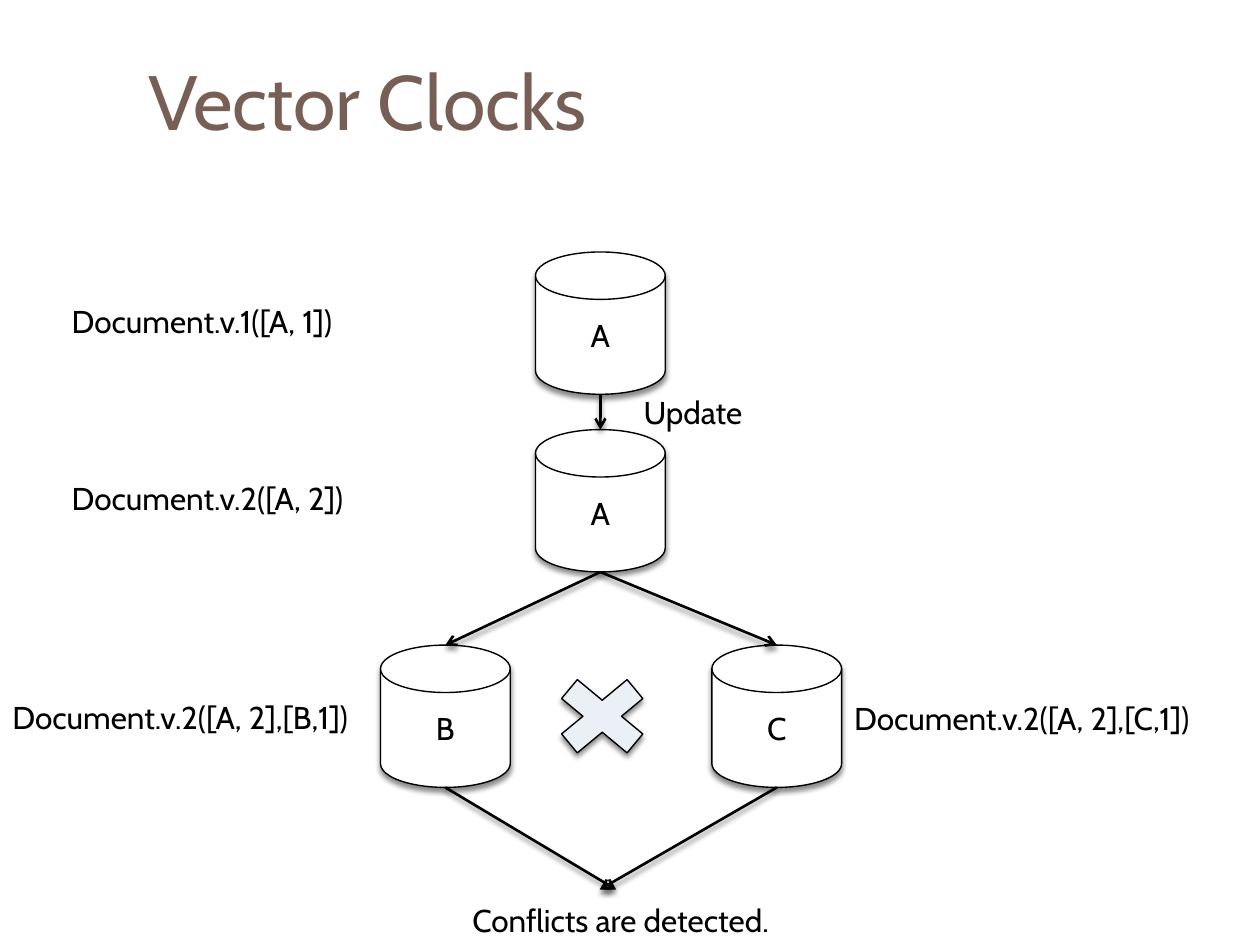
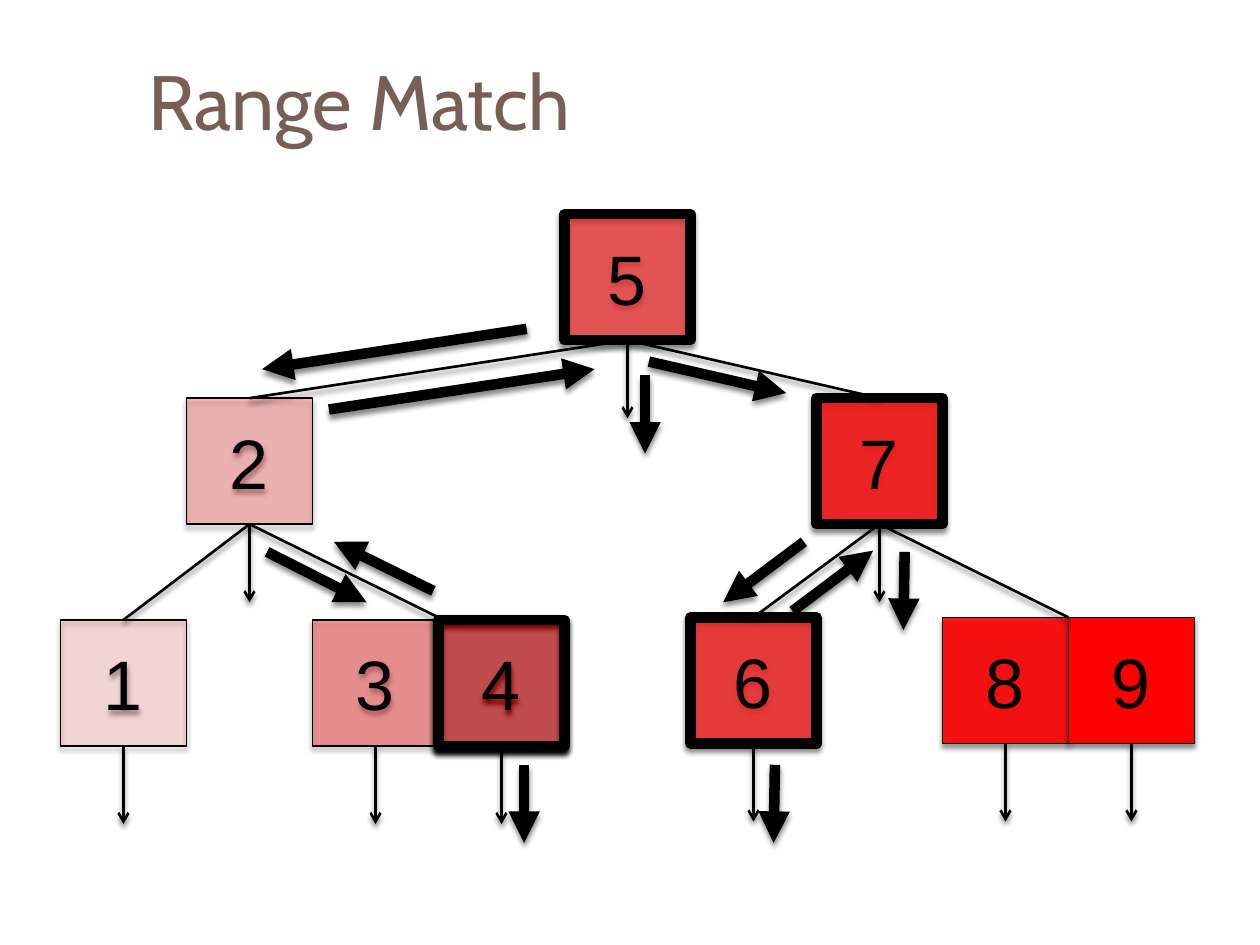
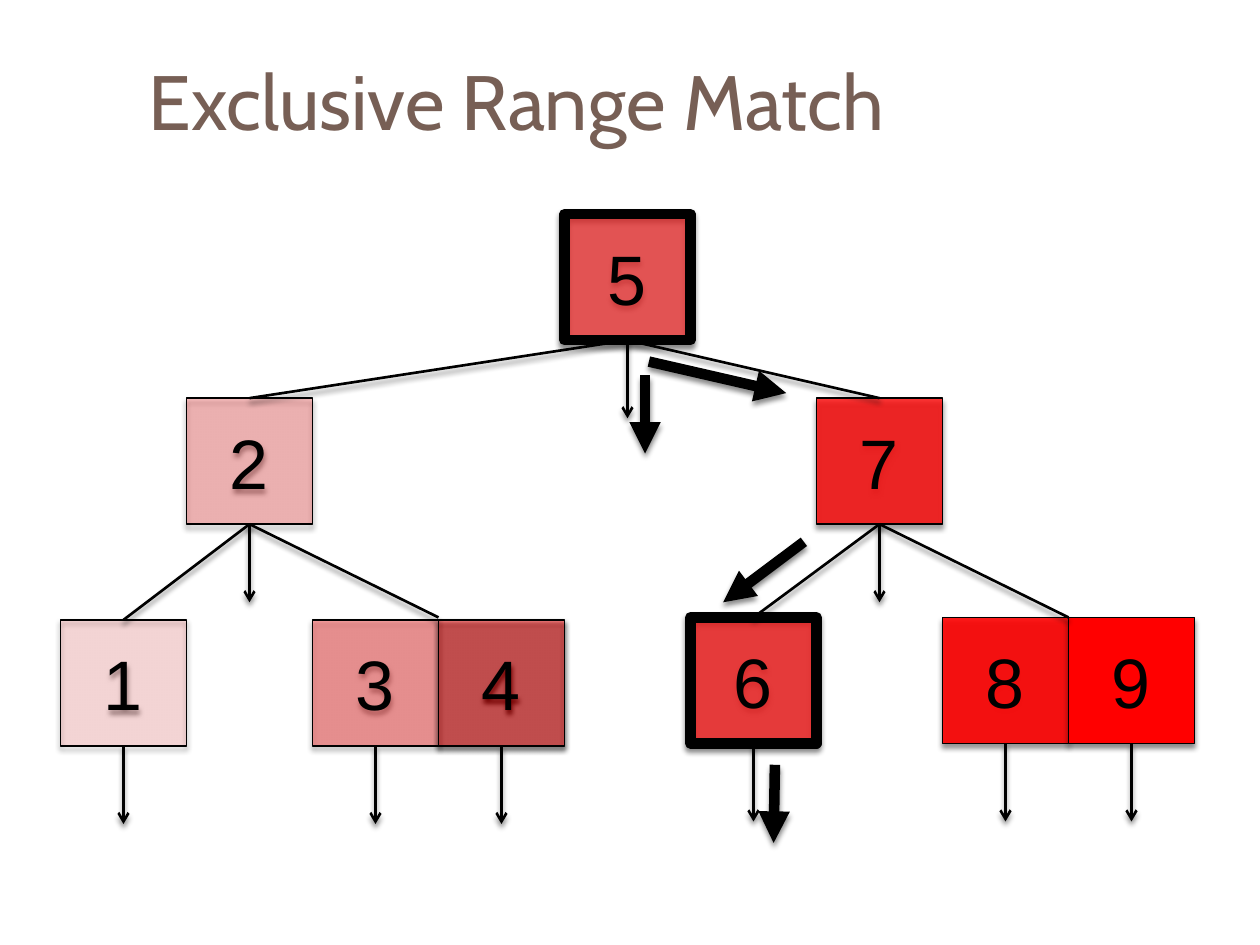
from dataclasses import dataclass
from typing import NamedTuple

from pptx import Presentation
from pptx.dml.color import RGBColor
from pptx.enum.shapes import MSO_CONNECTOR, MSO_SHAPE
from pptx.enum.text import MSO_ANCHOR, MSO_AUTO_SIZE, PP_ALIGN
from pptx.oxml import parse_xml
from pptx.oxml.ns import nsdecls, qn
from pptx.util import Inches, Pt


@dataclass(frozen=True)
class Theme:
    title: RGBColor = RGBColor(0x77, 0x5F, 0x55)
    ink: RGBColor = RGBColor(0, 0, 0)
    disk: RGBColor = RGBColor(255, 255, 255)
    cross: RGBColor = RGBColor(0xEA, 0xF0, 0xF6)
    node: RGBColor = RGBColor(255, 0, 0)
    font: str = "Cabin"
    node_font: str = "Arial"
    title_size: int = 44
    body_size: int = 18
    node_size: int = 40
    outline: float = 0.79
    line: float = 1.5
    bold_line: float = 6


class Box(NamedTuple):
    left: float
    top: float
    width: float
    height: float

    def place(self, x, y):
        return Inches(self.left + x), Inches(self.top + y)


THEME = Theme()
TITLE_BOX = Box(1.08, 0.25, 8.92, 1.08)
CLOCK_BOX = Box(0, 2, 10, 5.5)
TREE_BOX = Box(0.48, 1.7, 9, 4.83)
TOP, BOTTOM = 0, 2

DISK_WIDTH, DISK_HEIGHT = 1.03, 1.13
DISKS = [("A", 4.25, 0), ("A", 4.25, 1.41), ("B", 3.02, 3.12), ("C", 5.65, 3.12)]
CLOCK_LABELS = [
    ("Document.v.1([A, 1])", 0.47, 0.35, 2.5),
    ("Document.v.2([A, 2])", 0.47, 1.75, 2.5),
    ("Update", 5.01, 1.07, 1.02),
    ("Document.v.2([A, 2],[B,1])", 0, 3.49, 3.09),
    ("Document.v.2([A, 2],[C,1])", 6.68, 3.5, 3.09),
    ("Conflicts are detected.", 3.65, 5.1, 2.71),
]

NODE_TOPS = [3.22, 1.46, 3.22, 3.22, 0, 3.2, 1.46, 3.2, 3.2]
POINTER_LENGTH = 0.62
TREE_EDGES = [(2, 1), (5, 2), (5, 7), (7, 6)]
SHARED_CHILD_EDGES = [(2, 3), (7, 8)]
FORWARD_HOPS = [
    ((4.67, 1.17), (5.76, 1.42)),
    ((4.64, 1.28), (4.64, 1.9)),
    ((5.9, 2.6), (5.26, 3.08)),
    ((5.67, 4.37), (5.66, 4.99)),
]
FULL_HOPS = FORWARD_HOPS + [
    ((3.7, 0.91), (1.6, 1.23)),
    ((1.64, 2.68), (2.43, 3.08)),
    ((2.96, 2.99), (2.17, 2.6)),
    ((3.68, 4.37), (3.68, 4.99)),
    ((2.13, 1.55), (4.24, 1.23)),
    ((5.81, 3.15), (6.45, 2.67)),
    ((6.7, 2.68), (6.69, 3.3)),
]


def add_shadow(shape):
    shape.element.spPr.append(parse_xml(
        f'<a:effectLst {nsdecls("a")}>'
        '<a:outerShdw blurRad="38100" dist="30000" dir="5400000" rotWithShape="0">'
        '<a:srgbClr val="000000"><a:alpha val="45000"/></a:srgbClr>'
        '</a:outerShdw></a:effectLst>'))


def set_text(shape, text, size, color=THEME.ink, font=THEME.font, align=PP_ALIGN.LEFT):
    paragraph = shape.text_frame.paragraphs[0]
    paragraph.text = text
    paragraph.alignment = align
    paragraph.font.size = Pt(size)
    paragraph.font.name = font
    paragraph.font.color.rgb = color


def add_solid(slide, kind, position, width, height, fill, outline=THEME.outline):
    shape = slide.shapes.add_shape(kind, *position, Inches(width), Inches(height))
    shape.fill.solid()
    shape.fill.fore_color.rgb = fill
    shape.line.color.rgb = THEME.ink
    shape.line.width = Pt(outline)
    add_shadow(shape)
    shape.text_frame.vertical_anchor = MSO_ANCHOR.MIDDLE
    return shape


def add_line(slide, start, end, width=THEME.line, arrowhead=None):
    connector = slide.shapes.add_connector(MSO_CONNECTOR.STRAIGHT, *start, *end)
    connector.line.color.rgb = THEME.ink
    connector.line.width = Pt(width)
    if arrowhead:
        outline = connector.element.spPr.find(qn("a:ln"))
        outline.append(parse_xml(f'<a:tailEnd {nsdecls("a")} type="{arrowhead}"/>'))
    add_shadow(connector)
    return connector


def top_of(shape):
    return shape.left + shape.width // 2, shape.top


def bottom_of(shape):
    return shape.left + shape.width // 2, shape.top + shape.height


def add_title(slide, text, box):
    title = slide.shapes.add_textbox(*box.place(0, 0), Inches(box.width), Inches(box.height))
    title.text_frame.word_wrap = True
    title.text_frame.vertical_anchor = MSO_ANCHOR.MIDDLE
    set_text(title, text, THEME.title_size, THEME.title)


def add_label(slide, text, position, width):
    label = slide.shapes.add_textbox(*position, Inches(width), Inches(0.4))
    label.text_frame.word_wrap = False
    label.text_frame.auto_size = MSO_AUTO_SIZE.SHAPE_TO_FIT_TEXT
    set_text(label, text, THEME.body_size)


def add_disk(slide, text, position):
    disk = add_solid(slide, MSO_SHAPE.FLOWCHART_MAGNETIC_DISK, position,
                     DISK_WIDTH, DISK_HEIGHT, THEME.disk)
    set_text(disk, text, THEME.body_size, align=PP_ALIGN.CENTER)
    return disk


def add_vector_clocks(slide, box):
    first, updated, left_copy, right_copy = [
        add_disk(slide, text, box.place(x, y)) for text, x, y in DISKS]
    arrows = [
        (bottom_of(first), top_of(updated)),
        (bottom_of(updated), top_of(left_copy)),
        (bottom_of(updated), top_of(right_copy)),
        (bottom_of(left_copy), box.place(4.89, 5.06)),
        (bottom_of(right_copy), box.place(4.76, 5.06)),
    ]
    for start, end in arrows:
        add_line(slide, start, end, arrowhead="arrow")
    add_solid(slide, MSO_SHAPE.MATH_MULTIPLY, box.place(4.28, 3.27), 1, 0.83, THEME.cross)
    for text, x, y, width in CLOCK_LABELS:
        add_label(slide, text, box.place(x, y), width)


def add_node(slide, number, position, visited):
    node = add_solid(slide, MSO_SHAPE.RECTANGLE, position, 1, 1, THEME.node,
                     THEME.bold_line if visited else THEME.outline)
    if number < len(NODE_TOPS):
        color = node.element.spPr.find(qn("a:solidFill"))[0]
        opacity = (1 + 11 * number) * 1000
        color.append(parse_xml(f'<a:alpha {nsdecls("a")} val="{opacity}"/>'))
    set_text(node, str(number), THEME.node_size, font=THEME.node_font, align=PP_ALIGN.CENTER)
    return node


def add_tree(slide, box, visited, hops):
    nodes = {
        number: add_node(slide, number, box.place(number - 1, top), number in visited)
        for number, top in enumerate(NODE_TOPS, start=1)}
    for parent, child in TREE_EDGES:
        edge = add_line(slide, bottom_of(nodes[parent]), top_of(nodes[child]))
        edge.begin_connect(nodes[parent], BOTTOM)
        edge.end_connect(nodes[child], TOP)
    for parent, left_child in SHARED_CHILD_EDGES:
        edge = add_line(slide, bottom_of(nodes[parent]), box.place(left_child, 3.2))
        edge.begin_connect(nodes[parent], BOTTOM)
    for node in nodes.values():
        x, y = bottom_of(node)
        pointer = add_line(slide, (x, y), (x, y + Inches(POINTER_LENGTH)), arrowhead="arrow")
        pointer.begin_connect(node, BOTTOM)
    for start, end in hops:
        add_line(slide, box.place(*start), box.place(*end), THEME.bold_line, "triangle")


def add_titled_slide(presentation, title):
    slide = presentation.slides.add_slide(presentation.slide_layouts[6])
    add_title(slide, title, TITLE_BOX)
    return slide


def main():
    presentation = Presentation()
    presentation.slide_width = Inches(10)
    presentation.slide_height = Inches(7.5)
    add_vector_clocks(add_titled_slide(presentation, "Vector Clocks"), CLOCK_BOX)
    add_tree(add_titled_slide(presentation, "Range Match"), TREE_BOX, {4, 5, 6, 7}, FULL_HOPS)
    add_tree(add_titled_slide(presentation, "Exclusive Range Match"), TREE_BOX, {5, 6}, FORWARD_HOPS)
    presentation.save("out.pptx")


if __name__ == "__main__":
    main()
